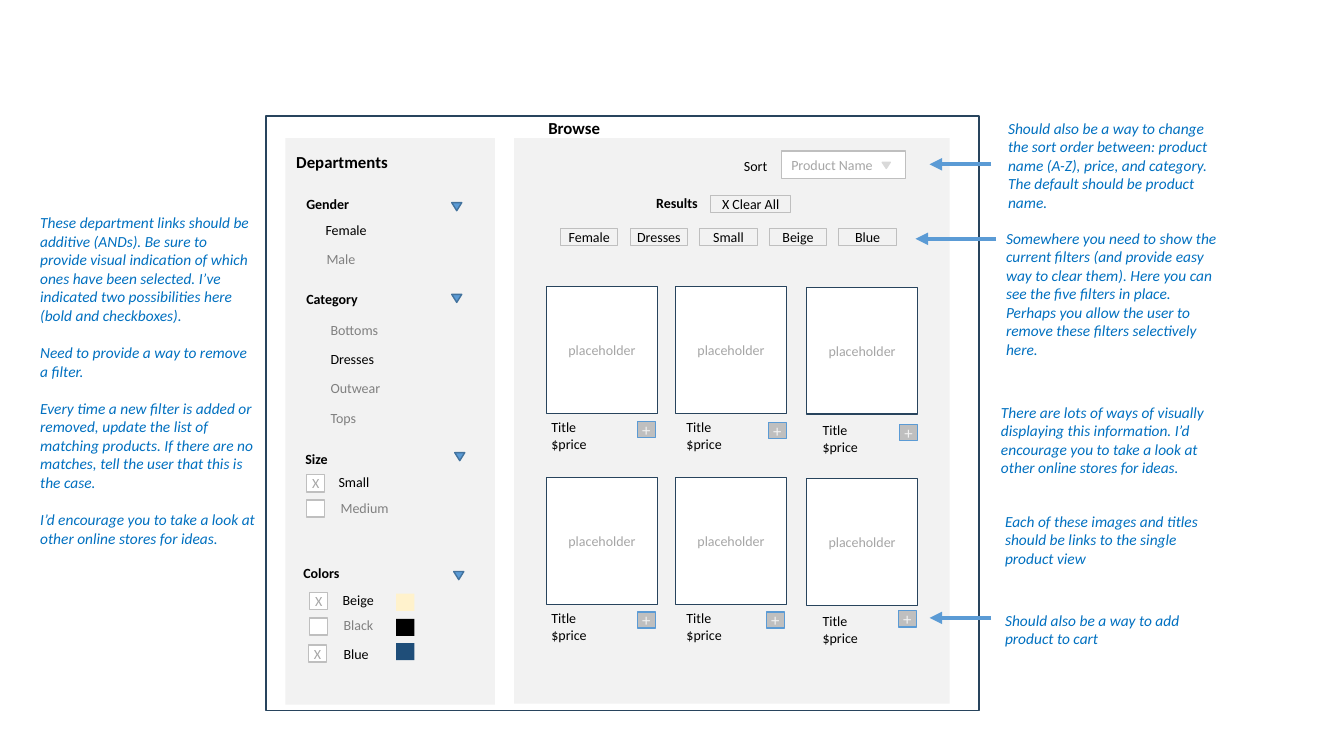
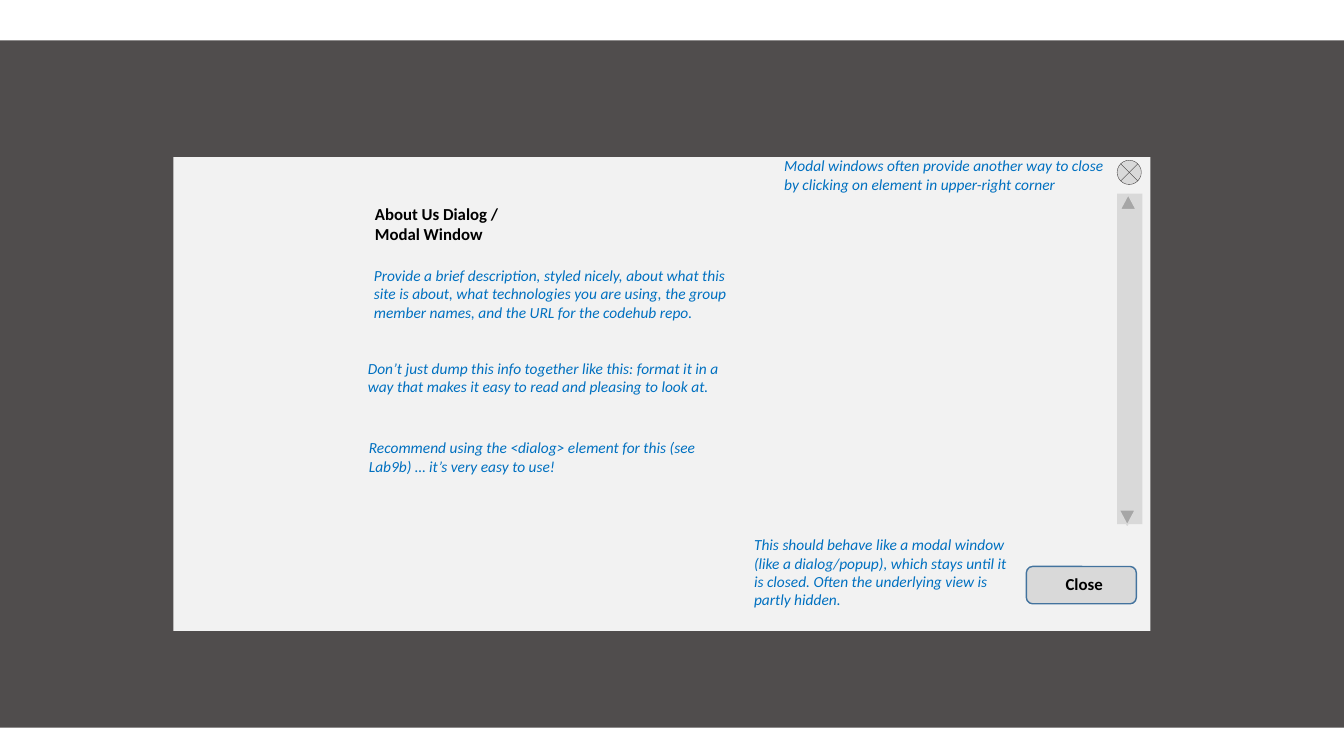
import pptx
import pptx.util
import pptx.dml.color
import pptx.enum.shapes
import pptx.enum.text
import pptx.oxml
import pptx.oxml.ns
from lxml import etree

Inches = pptx.util.Inches
Pt = pptx.util.Pt
SHAPE = pptx.enum.shapes.MSO_SHAPE
ANCHOR = pptx.enum.text.MSO_ANCHOR
ALIGN = pptx.enum.text.PP_ALIGN
FIT = pptx.enum.text.MSO_AUTO_SIZE

FONT = "Calibri"
BLACK, WHITE, PANEL = "000000", "FFFFFF", "F2F2F2"
NAVY, BLUE, BLUE_EDGE, NOTE = "28445D", "5B9BD5", "43739E", "0070C0"
MUTED, SOFT, EDGE, LIGHT, DARK = "808080", "A6A6A6", "BFBFBF", "D9D9D9", "3B3838"


def rgb(value):
    return pptx.dml.color.RGBColor.from_string(value)


def add_xml(parent, tag, **attrs):
    child = etree.SubElement(parent, pptx.oxml.ns.qn(tag))
    for name, value in attrs.items():
        child.set(name, value)
    return child


def write(shape, text, size=10, color=BLACK, bold=False, italic=False, center=False,
          middle=False, inset=None, grow=False, wrap=True, gap=0):
    tf = shape.text_frame
    tf.word_wrap = wrap
    tf.auto_size = FIT.SHAPE_TO_FIT_TEXT if grow else FIT.NONE
    tf.vertical_anchor = ANCHOR.MIDDLE if middle else ANCHOR.TOP
    if inset is not None:
        tf.margin_left = tf.margin_right = Inches(inset)
        tf.margin_top = tf.margin_bottom = Inches(inset)
    for i, line in enumerate(text.split("\n")):
        p = tf.add_paragraph() if i else tf.paragraphs[0]
        p.alignment = ALIGN.CENTER if center else ALIGN.LEFT
        if i and gap:
            p.space_before = Pt(gap)
        r = p.add_run()
        r.text = line
        r.font.name = FONT
        r.font.size = Pt(size)
        r.font.bold = bold
        r.font.italic = italic
        r.font.color.rgb = rgb(color)


def add_box(shapes, x, y, w, h, fill=None, line=None, width=1, kind=SHAPE.RECTANGLE,
            rotation=0, alpha=None):
    sp = shapes.add_shape(kind, Inches(x), Inches(y), Inches(w), Inches(h))
    sp.shadow.inherit = False
    sp.rotation = rotation
    if fill:
        sp.fill.solid()
        sp.fill.fore_color.rgb = rgb(fill)
    else:
        sp.fill.background()
    if alpha:
        color = sp._element.spPr.find(".//" + pptx.oxml.ns.qn("a:srgbClr"))
        add_xml(color, "a:alpha", val=str(alpha * 1000))
    if line:
        sp.line.color.rgb = rgb(line)
        sp.line.width = Pt(width)
    else:
        sp.line.fill.background()
    return sp


def add_text(shapes, text, x, y, w, h, **fmt):
    tb = shapes.add_textbox(Inches(x), Inches(y), Inches(w), Inches(h))
    write(tb, text, grow=True, **fmt)


def add_note(shapes, text, x, y, w, h, gap=0):
    add_text(shapes, text, x, y, w, h, size=11, color=NOTE, italic=True, gap=gap)


def add_triangle(shapes, x, y, w=0.1, h=0.08, fill=BLUE, line=BLUE_EDGE, rotation=180):
    add_box(shapes, x, y, w, h, fill, line, kind=SHAPE.ISOSCELES_TRIANGLE, rotation=rotation)


def add_arrow(shapes, x1, x2, y):
    cx = shapes.add_connector(pptx.enum.shapes.MSO_CONNECTOR.STRAIGHT,
                              Inches(x1), Inches(y), Inches(x2), Inches(y))
    cx.line.color.rgb = rgb(BLUE)
    cx.line.width = Pt(3)
    add_xml(cx.line._get_or_add_ln(), "a:tailEnd", type="triangle")
    add_xml(cx._element.spPr, "a:effectLst")


def add_checkbox(shapes, x, y, checked):
    box = add_box(shapes, x, y, 0.18, 0.17, WHITE, EDGE)
    if checked:
        write(box, "X", color=SOFT, center=True, middle=True, inset=0)


def add_tag(shapes, text, x, y, w=0.57):
    tag = add_box(shapes, x, y, w, 0.17, line=EDGE, width=0.75)
    write(tag, text, center=True, inset=0, grow=True)


def add_option(shapes, text, x, y, chosen):
    add_text(shapes, text, x, y, 0.88, 0.27, color=BLACK if chosen else MUTED)


def add_product(shapes, card, title, plus):
    image = add_box(shapes, *card, 1.1, 1.26, WHITE, NAVY)
    write(image, "placeholder", color=SOFT, center=True, middle=True, inset=0)
    add_text(shapes, "Title\n$price", *title, 0.89, 0.44)
    button = add_box(shapes, *plus, 0.18, 0.16, EDGE, BLUE)
    write(button, "+", size=12, color=PANEL, center=True, middle=True, inset=0)


def add_filters(shapes):
    add_text(shapes, "Departments", 2.84, 1.46, 1.46, 0.3, size=12, bold=True)
    for name, x, y, arrow_x, arrow_y in [
        ("Gender", 2.94, 1.89, 4.48, 2.01),
        ("Category", 2.94, 2.83, 4.48, 2.92),
        ("Size", 2.93, 4.42, 4.51, 4.49),
        ("Colors", 2.91, 5.55, 4.5, 5.67),
    ]:
        add_text(shapes, name, x, y, 1.46, 0.27, bold=True)
        add_triangle(shapes, arrow_x, arrow_y)
    add_option(shapes, "Female", 3.13, 2.15, True)
    add_option(shapes, "Male", 3.14, 2.44, False)
    for i, name in enumerate(["Bottoms", "Dresses", "Outwear", "Tops"]):
        add_option(shapes, name, 3.18, 3.14 + i * 0.29, name == "Dresses")
    for name, chosen, box_x, box_y, x, y in [
        ("Small", True, 3.04, 4.71, 3.26, 4.65),
        ("Medium", False, 3.04, 4.96, 3.28, 4.91),
        ("Beige", True, 3.07, 5.88, 3.3, 5.82),
        ("Black", False, 3.07, 6.13, 3.31, 6.07),
        ("Blue", True, 3.06, 6.4, 3.31, 6.35),
    ]:
        add_checkbox(shapes, box_x, box_y, chosen)
        add_option(shapes, name, x, y, chosen)
    for y, color in [(5.89, "FFF2CC"), (6.14, BLACK), (6.38, "1F4E79")]:
        add_box(shapes, 3.93, y, 0.18, 0.17, color)


def add_results(shapes):
    add_text(shapes, "Sort", 7.28, 1.51, 0.79, 0.27)
    select = add_box(shapes, 7.75, 1.5, 1.23, 0.27, WHITE, EDGE)
    write(select, "Product Name", color=SOFT, grow=True)
    add_triangle(shapes, 8.75, 1.61, 0.08, 0.06, LIGHT, LIGHT)
    add_text(shapes, "Results", 6.41, 1.88, 0.72, 0.27, bold=True)
    add_tag(shapes, "X Clear All", 7.05, 1.94, 0.79)
    for i, name in enumerate(["Female", "Dresses", "Small", "Beige", "Blue"]):
        add_tag(shapes, name, 5.56 + i * 0.69, 2.27)
    columns = [
        ((5.42, 2.84), (5.37, 4.1), [(6.32, 4.18), (6.32, 6.07)]),
        ((6.7, 2.84), (6.71, 4.1), [(7.62, 4.19), (7.6, 6.07)]),
        ((8, 2.85), (8.06, 4.13), [(8.92, 4.21), (8.91, 6.06)]),
    ]
    for (card_x, card_y), (title_x, title_y), buttons in columns:
        for row, plus in enumerate(buttons):
            drop = row * 1.9
            add_product(shapes, (card_x, card_y + drop), (title_x, title_y + drop), plus)


def build_browse(s):
    shapes = s.shapes
    add_box(shapes, 2.64, 1.15, 7.07, 5.9, line=NAVY)
    add_box(shapes, 2.83, 1.37, 2.08, 5.62, PANEL)
    add_box(shapes, 5.1, 1.37, 4.32, 5.61, PANEL)
    add_text(shapes, "Browse", 5.34, 1.12, 1.46, 0.3, size=12, bold=True)
    add_filters(shapes)
    add_results(shapes)
    add_note(shapes, "These department links should be additive (ANDs). Be sure to provide visual "
             "indication of which ones have been selected. I’ve indicated two possibilities here "
             "(bold and checkboxes).\nNeed to provide a way to remove a filter.\n"
             "Every time a new filter is added or removed, update the list of matching products. "
             "If there are no matches, tell the user that this is the case.\n"
             "I’d encourage you to take a look at other online stores for ideas.",
             0.3, 2.07, 2.34, 3.43, gap=13.4)
    for text, x, y, h in [
        ("Should also be a way to change the sort order between: product name (A-Z), price, "
         "and category. The default should be product name.", 9.9, 1.13, 1.03),
        ("Somewhere you need to show the current filters (and provide easy way to clear them). "
         "Here you can see the five filters in place. Perhaps you allow the user to remove "
         "these filters selectively here.", 9.88, 2.22, 1.4),
        ("There are lots of ways of visually displaying this information. I’d encourage you to "
         "take a look at other online stores for ideas.", 9.83, 3.95, 0.84),
        ("Each of these images and titles should be links to the single product view",
         9.87, 5.03, 0.66),
        ("Should also be a way to add product to cart", 9.87, 6.01, 0.47),
    ]:
        add_note(shapes, text, x, y, 2.34, h)
    for x1, x2, y in [(9.83, 9.22, 1.63), (9.88, 9.08, 2.37), (9.83, 9.22, 6.13)]:
        add_arrow(shapes, x1, x2, y)


def build_dialog(s):
    add_box(s.shapes, 0, 0.4, 13.33, 6.82, DARK, alpha=89)
    shapes = s.shapes.add_group_shape().shapes
    add_box(shapes, 1.72, 1.56, 9.69, 4.7, PANEL)
    add_box(shapes, 10.18, 5.62, 1.09, 0.37, LIGHT, BLUE_EDGE, kind=SHAPE.ROUNDED_RECTANGLE)
    add_text(shapes, "Close", 10.47, 5.64, 0.58, 0.3, size=12, bold=True, wrap=False)
    add_box(shapes, 11.08, 1.59, 0.24, 0.24, LIGHT, DARK, 0.25,
            SHAPE.FLOWCHART_SUMMING_JUNCTION)
    add_box(shapes, 11.08, 1.92, 0.25, 3.28, LIGHT)
    add_triangle(shapes, 11.11, 1.93, 0.16, 0.15, SOFT, LIGHT, 0)
    add_triangle(shapes, 11.1, 5.06, 0.16, 0.15, SOFT, LIGHT)
    for text, x, y, w, h in [
        ("Modal windows often provide another way to close by clicking on element in "
         "upper-right corner", 7.68, 1.5, 3.4, 0.47),
        ("Provide a brief description, styled nicely, about what this site is about, what "
         "technologies you are using, the group member names, and the URL for the codehub repo.",
         3.61, 2.59, 3.71, 0.66),
        ("Don’t just dump this info together like this: format it in a way that makes it easy "
         "to read and pleasing to look at.", 3.55, 3.51, 3.84, 0.47),
        ("Recommend using the <dialog> element for this (see Lab9b) … it’s very easy to use!",
         3.56, 4.3, 3.84, 0.47),
        ("This should behave like a modal window (like a dialog/popup), which stays until it is "
         "closed. Often the underlying view is partly hidden.", 7.38, 5.26, 2.79, 0.84),
    ]:
        add_note(shapes, text, x, y, w, h)
    add_text(s.shapes, "About Us Dialog / Modal Window", 3.62, 1.97, 1.46, 0.5,
             size=12, bold=True)


def main():
    prs = pptx.Presentation()
    prs.slide_width, prs.slide_height = Inches(13.33), Inches(7.5)
    for build in (build_browse, build_dialog):
        build(prs.slides.add_slide(prs.slide_layouts[6]))
    prs.save("out.pptx")


if __name__ == "__main__":
    main()
